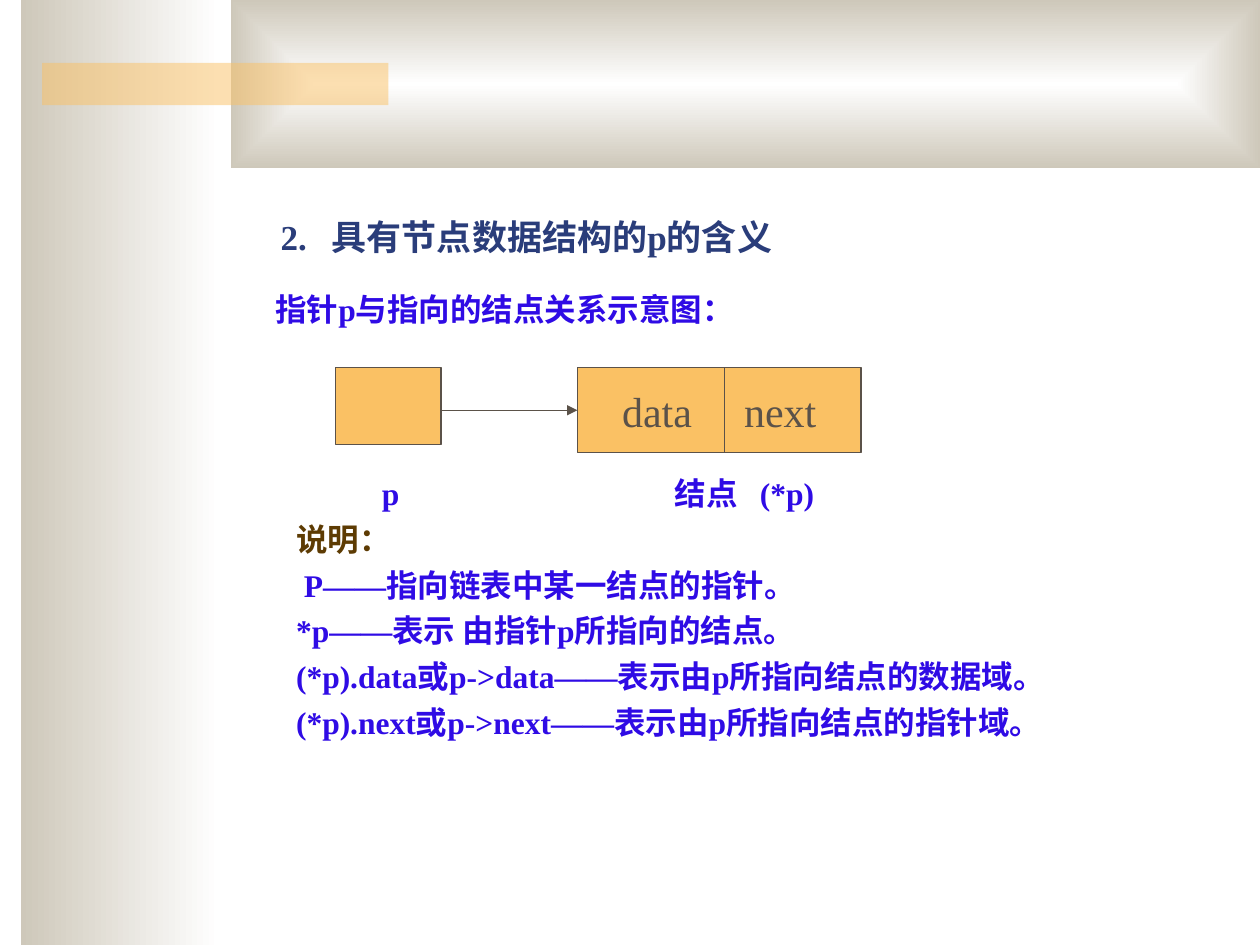
from lxml import etree
from pptx import Presentation
from pptx.dml.color import RGBColor
from pptx.enum.dml import MSO_THEME_COLOR
from pptx.enum.shapes import MSO_CONNECTOR, MSO_SHAPE
from pptx.enum.text import MSO_ANCHOR
from pptx.oxml.ns import qn
from pptx.util import Cm, Pt

RECT = MSO_SHAPE.RECTANGLE
LINE = MSO_CONNECTOR.STRAIGHT
MIDDLE = MSO_ANCHOR.MIDDLE
TOP = MSO_ANCHOR.TOP
LEFT = 1
FONT = "Times New Roman"
GOLD, GREY, SAND, WHITE = "FAC164", "5B5249", "CEC8BA", "FFFFFF"
BLUE, NAVY, BROWN = "2F0BE5", "2A3D7A", "5D3B03"


def color(code):
    return RGBColor.from_string(code)


def write(frame, text, size=18, tint=BLUE, bold=True, hang=0, inset=0,
          anchor=TOP, head=None):
    frame.word_wrap = True
    frame.vertical_anchor = anchor
    frame.margin_left = Cm(inset)
    frame.margin_right = frame.margin_top = frame.margin_bottom = 0
    for row, line in enumerate(text.split("\n")):
        para = frame.add_paragraph() if row else frame.paragraphs[0]
        if row:
            para.space_before = Pt(4.5)
        if hang:
            props = para._p.get_or_add_pPr()
            props.set("marL", str(Cm(hang)))
            props.set("indent", str(-Cm(hang)))
        run = para.add_run()
        run.text = line
        font = run.font
        font.name, font.size, font.bold = FONT, Pt(size), bold
        font.color.rgb = color(head if head and not row else tint)


class Deck:
    def __init__(self):
        self.file = Presentation()
        self.file.slide_width, self.file.slide_height = Cm(25.4), Cm(19.05)
        self.slide = self.file.slides.add_slide(self.file.slide_layouts[6])

    def rect(self, x, y, w, h, tint=GOLD, edge=None, alpha=None):
        shape = self.slide.shapes.add_shape(RECT, Cm(x), Cm(y), Cm(w), Cm(h))
        shape.shadow.inherit = False
        shape.fill.solid()
        shape.fill.fore_color.rgb = color(tint)
        if alpha:
            node = shape._element.spPr.find(".//" + qn("a:srgbClr"))
            etree.SubElement(node, qn("a:alpha")).set("val", str(alpha * 1000))
        if edge:
            shape.line.color.rgb = color(edge)
            shape.line.width = Pt(0.75)
        else:
            shape.line.fill.background()
        return shape

    def fade(self, x, y, w, h, inner=False):
        shape = self.rect(x, y, w, h)
        shape.fill.gradient()
        shape.fill.gradient_angle = 180
        for stop, tint, place in zip(shape.fill.gradient_stops, (WHITE, SAND), (0, 1)):
            stop.color.theme_color = MSO_THEME_COLOR.ACCENT_1
            stop.color.rgb = color(tint)
            stop.position = place
        if inner:
            grad = shape._element.spPr.find(qn("a:gradFill"))
            grad.remove(grad.find(qn("a:lin")))
            form = etree.SubElement(grad, qn("a:path"))
            form.set("path", "rect")
            focus = etree.SubElement(form, qn("a:fillToRect"))
            for side in "ltrb":
                focus.set(side, "50000")

    def text(self, x, y, w, h, words, **style):
        box = self.slide.shapes.add_textbox(Cm(x), Cm(y), Cm(w), Cm(h))
        write(box.text_frame, words, **style)

    def line(self, x1, y1, x2, y2, target=None):
        link = self.slide.shapes.add_connector(LINE, Cm(x1), Cm(y1), Cm(x2), Cm(y2))
        link.line.color.rgb = color(GREY)
        link.line.width = Pt(0.75)
        if target is not None:
            link.end_connect(target, LEFT)
            tip = etree.SubElement(link.line._get_or_add_ln(), qn("a:tailEnd"))
            tip.set("type", "triangle")
        etree.SubElement(link._element.spPr, qn("a:effectLst"))


def main():
    deck = Deck()
    deck.fade(0.42, 0, 4.02, 19.05)
    deck.fade(4.66, 0, 20.74, 3.39, inner=True)
    deck.rect(0.85, 1.27, 6.98, 0.85, alpha=50)

    deck.text(5.66, 4.35, 11.2, 0.81, "2.\t具有节点数据结构的p的含义",
              size=20, tint=NAVY, hang=1.03)
    deck.text(5.55, 5.84, 12, 0.75, "指针p与指向的结点关系示意图：")

    deck.rect(6.77, 7.41, 2.12, 1.55, edge=GREY)
    node = deck.rect(11.64, 7.41, 5.72, 1.72, edge=GREY)
    write(node.text_frame, "data\tnext", size=24, tint=GREY, bold=False,
          hang=2.46, inset=0.9, anchor=MIDDLE)
    node.text_frame.paragraphs[0].alignment = LEFT
    deck.line(8.89, 8.27, 11.64, 8.27, target=node)
    deck.line(14.6, 7.41, 14.6, 9.13)

    deck.text(7.7, 9.55, 1, 0.75, "p")
    deck.text(13.6, 9.55, 4, 0.75, "结点\t(*p)", hang=1.72)
    notes = (
        "说明：",
        " P——指向链表中某一结点的指针。",
        "*p——表示 由指针p所指向的结点。",
        "(*p).data或p->data——表示由p所指向结点的数据域。",
        "(*p).next或p->next——表示由p所指向结点的指针域。",
    )
    deck.text(5.97, 10.48, 15.8, 5.4, "\n".join(notes), head=BROWN)
    deck.file.save("out.pptx")


if __name__ == "__main__":
    main()
